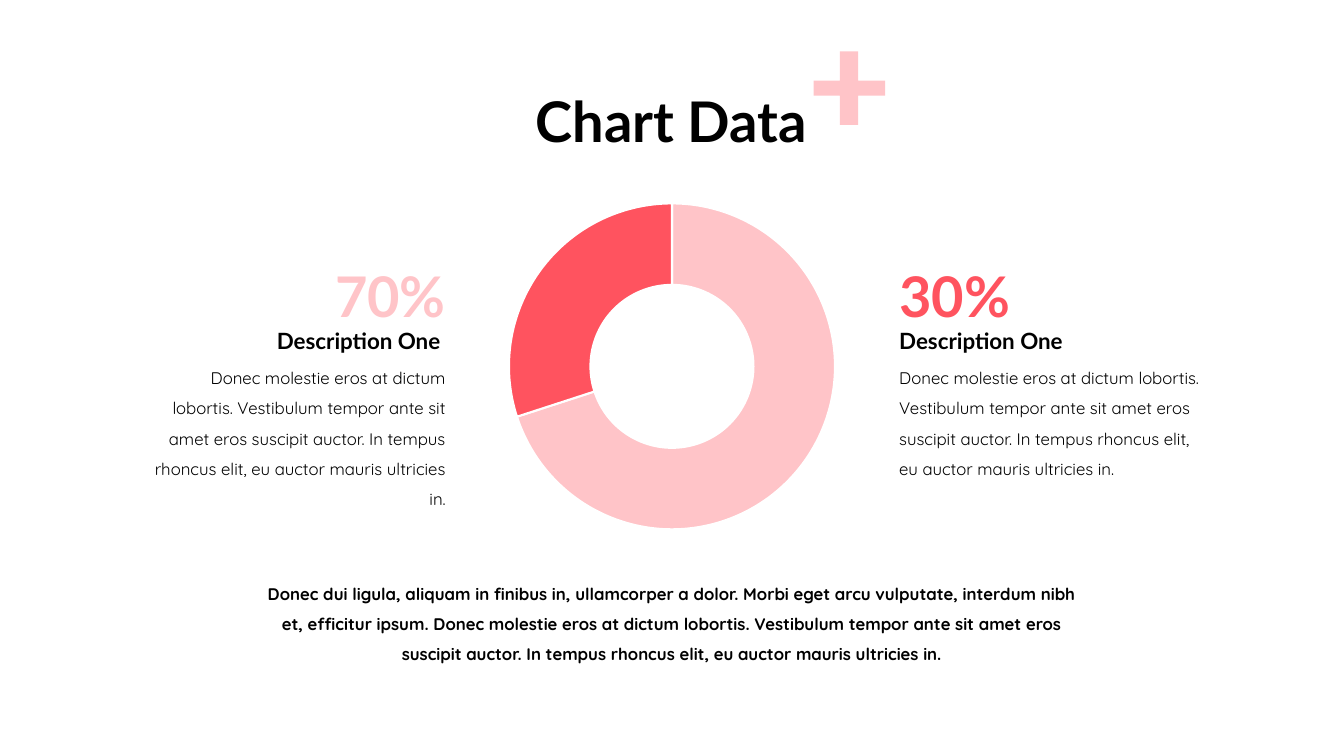
from lxml import etree
from pptx import Presentation
from pptx.chart.data import CategoryChartData
from pptx.dml.color import RGBColor
from pptx.enum.chart import XL_CHART_TYPE
from pptx.enum.text import MSO_ANCHOR, MSO_AUTO_SIZE, PP_ALIGN
from pptx.oxml.ns import qn
from pptx.util import Inches, Pt

DOUGHNUT = XL_CHART_TYPE.DOUGHNUT
LEFT, CENTER, RIGHT = PP_ALIGN.LEFT, PP_ALIGN.CENTER, PP_ALIGN.RIGHT
MIDDLE = MSO_ANCHOR.MIDDLE
GROW, FIXED = MSO_AUTO_SIZE.SHAPE_TO_FIT_TEXT, MSO_AUTO_SIZE.NONE

COLORS = {"black": "000000", "white": "FFFFFF", "pink": "FFC4C8", "red": "FF535F"}
HEADING_FONT, BODY_FONT = "Lato", "Quicksand"

DETAIL = (
    "Donec molestie eros at dictum lobortis. Vestibulum tempor ante sit amet "
    "eros suscipit auctor. In tempus rhoncus elit, eu auctor mauris ultricies in."
)
SUMMARY = (
    "Donec dui ligula, aliquam in finibus in, ullamcorper a dolor. Morbi eget "
    "arcu vulputate, interdum nibh et, efficitur ipsum. " + DETAIL
)


def color(name):
    return RGBColor.from_string(COLORS[name])


def set_font(font, name, size, color_name="black", bold=False):
    font.name = name
    font.size = Pt(size)
    font.bold = bold
    font.color.rgb = color(color_name)


def place(shape, left, top, width, height):
    shape.left, shape.top = Inches(left), Inches(top)
    shape.width, shape.height = Inches(width), Inches(height)


def add_title(page, text):
    title = page.shapes.title
    place(title, 4.12, 0.51, 5.08, 1.45)
    frame = title.text_frame
    frame.text = text
    frame.vertical_anchor = MIDDLE
    frame.auto_size = FIXED
    para = frame.paragraphs[0]
    para.alignment = CENTER
    para.line_spacing = 0.9
    set_font(para.font, HEADING_FONT, 40, bold=True)


def add_text(page, area, text, align, font, size, color_name="black", bold=False):
    box = page.shapes.add_textbox(*map(Inches, area))
    frame = box.text_frame
    frame.word_wrap = True
    frame.auto_size = GROW
    para = frame.paragraphs[0]
    para.text = text
    para.alignment = align
    para.line_spacing = 1.5
    set_font(para.font, font, size, color_name, bold)


def add_plus(page, left, top, right, bottom, bar_x, bar_y):
    """Draw a plus whose bars span the bar_x and bar_y ranges."""
    (x1, x2), (y1, y2) = bar_x, bar_y
    corners = [
        (x1, top), (x2, top), (x2, y1), (right, y1), (right, y2), (x2, y2),
        (x2, bottom), (x1, bottom), (x1, y2), (left, y2), (left, y1), (x1, y1),
    ]
    points = [(Inches(x), Inches(y)) for x, y in corners]
    builder = page.shapes.build_freeform(*points[0])
    builder.add_line_segments(points[1:], close=True)
    plus = builder.convert_to_shape()
    plus.shadow.inherit = False
    plus.fill.solid()
    plus.fill.fore_color.rgb = color("pink")
    plus.line.fill.background()


def add_doughnut(page, area, shares, hole_percent):
    data = CategoryChartData()
    data.categories = [str(number + 1) for number in range(len(shares))]
    data.add_series("Series 1", [value for value, _ in shares])
    chart = page.shapes.add_chart(DOUGHNUT, *map(Inches, area), data).chart
    chart.has_legend = False
    chart.has_title = False
    set_font(chart.font, BODY_FONT, 10)

    plot = chart.plots[0]
    plot.vary_by_categories = True
    for index, (_, color_name) in enumerate(shares):
        slice_format = plot.series[0].points[index].format
        slice_format.fill.solid()
        slice_format.fill.fore_color.rgb = color(color_name)
        slice_format.line.color.rgb = color("white")
        slice_format.line.width = Pt(1.5)

    # Hole size has no public property
    ring = chart.element.find(".//" + qn("c:doughnutChart"))
    hole = ring.find(qn("c:holeSize"))
    if hole is None:
        hole = etree.SubElement(ring, qn("c:holeSize"))
    hole.set("val", str(hole_percent))


def main():
    deck = Presentation()
    deck.slide_width, deck.slide_height = Inches(13.33), Inches(7.5)
    page = deck.slides.add_slide(deck.slide_layouts[5])

    # Heading
    add_title(page, "Chart Data")
    add_plus(page, 8.07, 0.51, 8.78, 1.24, bar_x=(8.33, 8.51), bar_y=(0.8, 0.95))

    # Chart
    add_doughnut(page, (4.03, 1.88, 5.27, 3.51), [(70, "pink"), (30, "red")], 75)

    # Left description
    add_text(page, (2.75, 2.21, 1.77, 1.11), "70%", RIGHT, HEADING_FONT, 40, "pink", True)
    add_text(page, (0.93, 3.06, 3.59, 0.5), "Description One ", RIGHT, HEADING_FONT, 16, bold=True)
    add_text(page, (1.41, 3.5, 3.11, 1.31), DETAIL, RIGHT, BODY_FONT, 12)

    # Right description
    add_text(page, (8.82, 2.21, 1.77, 1.01), "30%", LEFT, HEADING_FONT, 40, "red", True)
    add_text(page, (8.82, 3.06, 2.89, 0.45), "Description One", LEFT, HEADING_FONT, 16, bold=True)
    add_text(page, (8.82, 3.5, 3.24, 1.31), DETAIL, LEFT, BODY_FONT, 12)

    # Summary
    add_text(page, (2.45, 5.64, 8.43, 1.01), SUMMARY, CENTER, BODY_FONT, 12, bold=True)

    deck.save("out.pptx")


if __name__ == "__main__":
    main()
